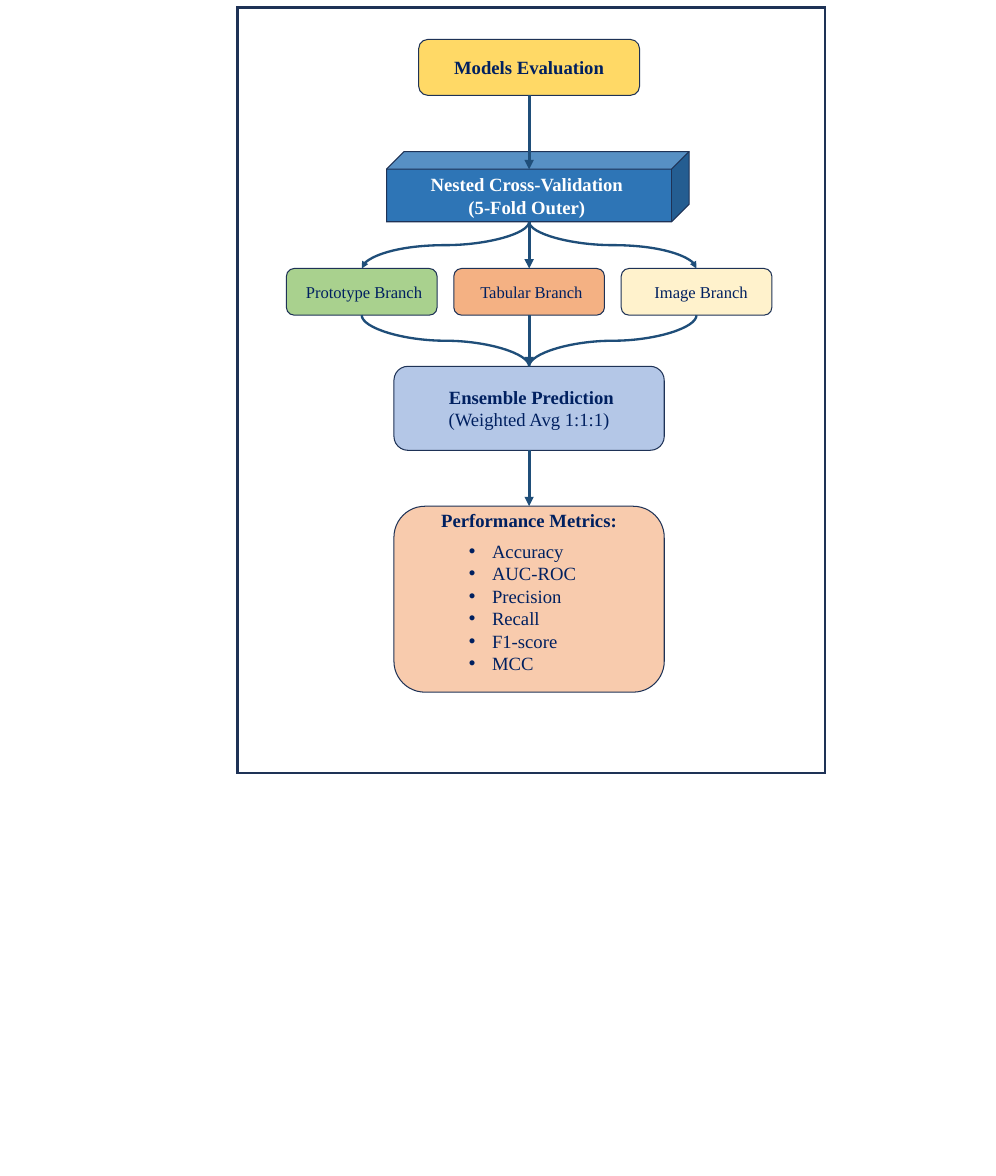
from dataclasses import dataclass

from lxml import etree
from pptx import Presentation
from pptx.dml.color import RGBColor
from pptx.enum.shapes import MSO_CONNECTOR as LINK, MSO_SHAPE as SHAPE
from pptx.enum.text import MSO_ANCHOR as ANCHOR, PP_ALIGN as ALIGN
from pptx.oxml.ns import qn
from pptx.util import Inches, Pt


@dataclass(frozen=True)
class Theme:
    font: str = "Times New Roman"
    heading: int = 18
    label: int = 16
    ink: str = "002060"
    white: str = "FFFFFF"
    outline: str = "1E3256"
    arrow: str = "1F4E79"
    gold: str = "FFD966"
    blue: str = "2E75B6"
    green: str = "A9D18E"
    orange: str = "F4B183"
    cream: str = "FFF2CC"
    sky: str = "B4C7E7"
    peach: str = "F8CBAD"


T = Theme()
SLIDE_W, SLIDE_H = 40 / 3, 15.75
COLS, ROWS = 119, 126
AXIS = 63.22  # column of the flow's centre line


@dataclass(frozen=True)
class Box:
    """Columns and rows of the slide grid."""
    x: float
    y: float
    w: float
    h: float

    @property
    def cx(self):
        return self.x + self.w / 2

    @property
    def bottom(self):
        return self.y + self.h

    def emu(self):
        return col(self.x), row(self.y), col(self.w), row(self.h)


def col(n):
    return Inches(n * SLIDE_W / COLS)


def row(n):
    return Inches(n * SLIDE_H / ROWS)


def centred(y, w, h):
    return Box(AXIS - w / 2, y, w, h)


def write(tf, lines, size, color=T.ink, align=ALIGN.CENTER):
    """Fill a text frame with (text, bold) lines."""
    tf.word_wrap = True
    tf.text = "\n".join(text for text, _ in lines)
    for p, (_, bold) in zip(tf.paragraphs, lines):
        p.alignment = align
        for r in p.runs:
            r.font.name, r.font.size, r.font.bold = T.font, Pt(size), bold
            r.font.color.rgb = RGBColor.from_string(color)


def outlined(s, box, kind, width, fill=None):
    sp = s.shapes.add_shape(kind, *box.emu())
    sp.shadow.inherit = False
    sp.line.color.rgb = RGBColor.from_string(T.outline)
    sp.line.width = Pt(width)
    etree.SubElement(sp.line._get_or_add_ln(), qn("a:miter"), lim="800000")
    if fill:
        sp.fill.solid()
        sp.fill.fore_color.rgb = RGBColor.from_string(fill)
    else:
        sp.fill.background()
    return sp


def step(s, box, fill, lines, size=T.heading, color=T.ink,
         kind=SHAPE.ROUNDED_RECTANGLE, shift=0):
    """Draw one step; shift moves its text right by inches."""
    sp = outlined(s, box, kind, 1, fill)
    tf = sp.text_frame
    tf.vertical_anchor = ANCHOR.MIDDLE
    tf.margin_left = Inches(0.1 + max(0, 2 * shift))
    tf.margin_right = Inches(0.1 + max(0, -2 * shift))
    write(tf, lines, size, color)
    return sp


def style_link(c, width, head):
    c.line.color.rgb = RGBColor.from_string(T.arrow)
    c.line.width = Pt(width)
    if head:
        etree.SubElement(c.line._get_or_add_ln(), qn("a:tailEnd"), type="triangle")
    etree.SubElement(c._element.spPr, qn("a:effectLst"))


def arrow(s, y1, y2):
    c = s.shapes.add_connector(LINK.STRAIGHT, col(AXIS), row(y1), col(AXIS), row(y2))
    style_link(c, 3, True)


def curve(s, x1, y1, x2, y2, head):
    """Curve that leaves and arrives vertically: a quarter-turned connector."""
    mid_x, mid_y = (col(x1) + col(x2)) // 2, (row(y1) + row(y2)) // 2
    half_w, half_h = (row(y2) - row(y1)) // 2, abs(col(x2) - col(x1)) // 2
    if x2 > x1:
        half_w = -half_w
    c = s.shapes.add_connector(LINK.CURVE, mid_x - half_w, mid_y - half_h,
                               mid_x + half_w, mid_y + half_h)
    degrees = 270 if x2 > x1 else 90
    c._element.spPr.find(qn("a:xfrm")).set("rot", str(degrees * 60000))
    style_link(c, 2.25, head)


def branches(s, box):
    """Three equal branches across the box."""
    items = [("Prototype Branch", T.green, 0.03),
             ("Tabular Branch", T.orange, 0.03),
             ("Image Branch", T.cream, 0.06)]
    width, gap = 18, 2
    cells = []
    for i, (name, fill, shift) in enumerate(items):
        cell = Box(box.x + i * (width + gap), box.y, width, box.h)
        step(s, cell, fill, [(name, False)], T.label, shift=shift)
        cells.append(cell)
    return cells


def metrics(s, box):
    """Metrics card with its bulleted list."""
    sp = step(s, box, T.peach, [("Performance Metrics:", True)])
    sp.text_frame.vertical_anchor = ANCHOR.TOP
    sp.text_frame.margin_top = Inches(-0.08)
    names = ["Accuracy", "AUC-ROC", "Precision", "Recall", "F1-score", "MCC"]
    area = Box(box.x + box.w / 4, box.y + 3.2, box.w / 2, 15.4)
    tf = s.shapes.add_textbox(*area.emu()).text_frame
    write(tf, [(name, False) for name in names], T.heading, align=ALIGN.LEFT)
    for p in tf.paragraphs:
        pPr = p._p.get_or_add_pPr()
        pPr.set("marL", str(Inches(0.31)))
        pPr.set("indent", str(-Inches(0.31)))
        etree.SubElement(pPr, qn("a:buFont"), typeface="Arial")
        etree.SubElement(pPr, qn("a:buChar"), char="•")


def flow(s, frame):
    """Whole evaluation flow, row by row inside the frame."""
    top = frame.y
    depth_cols, depth_rows = 2.1, 1.9
    start = centred(top + 3.42, 26.4, 6)
    front = centred(top + 15.44, 34.05, 7.52)
    cube = Box(front.x, front.y, front.w + depth_cols, front.h)
    band = centred(top + 27.97, 58, 5)
    ensemble = centred(top + 38.45, 32.3, 9)
    card = centred(top + 53.44, 32.3, 19.92)

    # Steps
    step(s, start, T.gold, [("Models Evaluation", True)])
    step(s, cube, T.blue, [("Nested Cross-Validation", True), ("(5-Fold Outer)", True)],
         color=T.white, kind=SHAPE.CUBE, shift=-0.03)
    cells = branches(s, band)
    step(s, ensemble, T.sky,
         [(" Ensemble Prediction", True), ("(Weighted Avg 1:1:1)", False)])
    metrics(s, card)

    # Links
    for y1, y2 in [(start.bottom, cube.y + depth_rows), (cube.bottom, band.y),
                   (band.bottom, ensemble.y), (ensemble.bottom, card.y)]:
        arrow(s, y1, y2)
    for cell in (cells[0], cells[-1]):
        curve(s, AXIS, cube.bottom, cell.cx, cell.y, True)
        curve(s, cell.cx, cell.bottom, AXIS, ensemble.y, False)

    # Frame
    outlined(s, frame, SHAPE.RECTANGLE, 2.25)


def main():
    prs = Presentation()
    prs.slide_width, prs.slide_height = Inches(SLIDE_W), Inches(SLIDE_H)
    s = prs.slides.add_slide(prs.slide_layouts[6])
    flow(s, Box(28.4, 0.8, 70.2, 82))
    prs.save("out.pptx")


if __name__ == "__main__":
    main()
